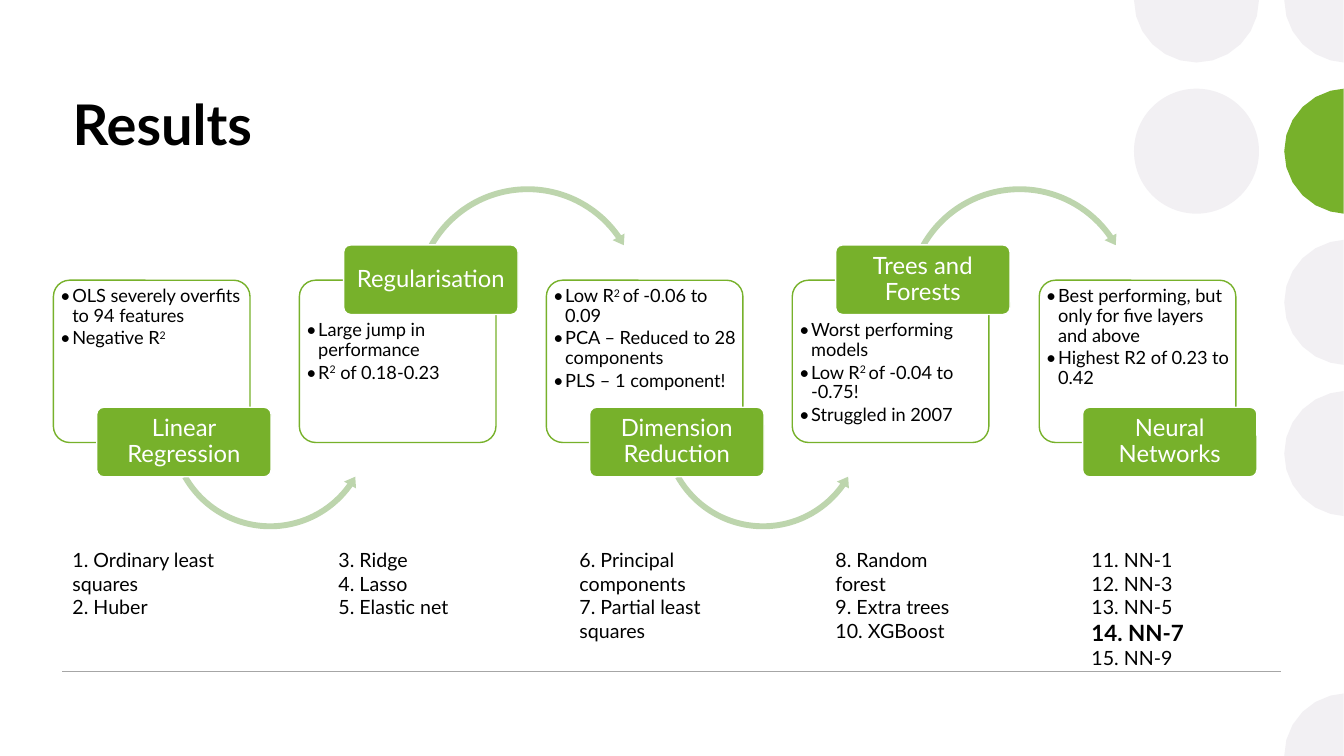
import math
from lxml import etree
from pptx import Presentation
from pptx import util as u
from pptx.dml.color import RGBColor
from pptx.enum import shapes, text
from pptx.oxml.ns import qn

PX = 9144  # 100 px to the inch
WIDE, HIGH = 1333, 750
HUES = {"green": "77B12B", "pale": "BDD5AD", "mist": "F2F0F3",
        "white": "FFFFFF", "black": "000000", "grey": "A6A6A6"}
KIND = shapes.MSO_SHAPE


def paint(shape, fill, line=None):
    shape.shadow.inherit = False
    shape.fill.solid()
    shape.fill.fore_color.rgb = RGBColor.from_string(HUES[fill])
    if line:
        shape.line.color.rgb = RGBColor.from_string(HUES[line])
        shape.line.width = u.Pt(1)
    else:
        shape.line.fill.background()


def write(para, words, size, hue="black", bold=False):
    # Pieces between carets are superscript
    for n, part in enumerate(words.split("^")):
        if part:
            run = para.add_run()
            run.text = part
            run.font.name = "Lato"
            run.font.size = u.Pt(size)
            run.font.bold = bold
            run.font.color.rgb = RGBColor.from_string(HUES[hue])
            if n % 2:
                run._r.get_or_add_rPr().set("baseline", "30000")


deck = Presentation()
deck.slide_width, deck.slide_height = u.Inches(13.333), u.Inches(7.5)
slide = deck.slides.add_slide(deck.slide_layouts[5])
draw = slide.shapes

# Title
title = draw.title
title.left, title.top, title.width, title.height = [v * PX for v in (62, 84, 802, 139)]
frame = title.text_frame
frame.auto_size = text.MSO_AUTO_SIZE.NONE
frame.vertical_anchor = text.MSO_ANCHOR.TOP
frame.paragraphs[0].alignment = text.PP_ALIGN.LEFT
write(frame.paragraphs[0], "Results", 40, bold=True)

# Circles: one whole, the others cut at the slide edges
RAD = 62
dot = draw.add_shape(KIND.OVAL, *[v * PX for v in (1125, 88, 2 * RAD, 2 * RAD)])
paint(dot, "mist")
# Centre, first and last angle of the visible arc, slide corner if any
for x, y, first, last, corner, hue in [
        (1187, 0, 0, 180, [], "mist"),
        (WIDE + 3, HIGH, 180, 270, [(WIDE, HIGH)], "mist"),
        (WIDE + 3, 450, 90, 270, [], "mist"),
        (WIDE + 3, 300, 90, 270, [], "mist"),
        (WIDE + 3, 150, 90, 270, [], "green"),
        (WIDE + 3, 0, 90, 180, [(WIDE, 0)], "mist")]:
    rim = []
    for deg in range(first, last + 1, 15):
        ang = math.radians(deg)
        rim.append((min(WIDE, x + RAD * math.cos(ang)), y + RAD * math.sin(ang)))
    rim = [(round(a * PX), round(b * PX)) for a, b in rim + corner]
    edge = draw.build_freeform(*rim[0])
    edge.add_line_segments(rim[1:], close=True)
    paint(edge.convert_to_shape(), hue)

# Rule at the foot
rule = draw.add_connector(shapes.MSO_CONNECTOR.STRAIGHT,
                          62 * PX, 666 * PX, 1271 * PX, 666 * PX)
rule.line.color.rgb = RGBColor.from_string(HUES["grey"])
rule.line.width = u.Pt(1)
etree.SubElement(rule._element.spPr, qn("a:effectLst"))

# Steps: label, findings
steps = [
    ("Linear Regression", ["OLS severely overfits to 94 features", "Negative R^2^"]),
    ("Regularisation", ["Large jump in performance", "R^2^ of 0.18-0.23"]),
    ("Dimension Reduction", ["Low R^2 ^of -0.06 to 0.09",
                             "PCA – Reduced to 28 components",
                             "PLS – 1 component!"]),
    ("Trees and Forests", ["Worst performing models",
                           "Low R^2 ^of -0.04 to -0.75!",
                           "Struggled in 2007"]),
    ("Neural Networks", ["Best performing, but only for five layers and above",
                         "Highest R2 of 0.23 to 0.42"]),
]
# Arrow by label place: kind, shift, top, size, adjustments
arrows = [
    (KIND.LEFT_CIRCULAR_ARROW, 68, 321, 208, (0.028, 3.446, 21.201, 90.245, 0.033)),
    (KIND.CIRCULAR_ARROW, 66, 181, 233, (0.025, 3.056, 195.189, 125.755, 0.029)),
]
for i, (name, finds) in enumerate(steps):
    left = 53 + 489 * i // 2
    tab = round(96.2 + 244.4 * i)
    high = i % 2  # odd steps carry the label on top

    card = draw.add_shape(KIND.ROUNDED_RECTANGLE,
                          *[v * PX for v in (left, 278, 195, 161)])
    card.adjustments[0] = 0.1
    paint(card, "white", "green")
    frame = card.text_frame
    frame.word_wrap = True
    frame.vertical_anchor = text.MSO_ANCHOR.TOP
    frame.margin_left = frame.margin_right = 2 * PX
    frame.margin_top, frame.margin_bottom = (36 if high else 2) * PX, 0
    for n, find in enumerate(finds):
        para = frame.add_paragraph() if n else frame.paragraphs[0]
        para.alignment = text.PP_ALIGN.LEFT
        para.line_spacing = 0.9
        para.space_after = u.Pt(2)
        props = para._p.get_or_add_pPr()
        props.set("marL", str(12 * PX))
        props.set("indent", str(-12 * PX))
        etree.SubElement(props, qn("a:buFont")).set("typeface", "Lato")
        etree.SubElement(props, qn("a:buChar")).set("char", "•")
        write(para, find, 13)

    if i < len(steps) - 1:
        kind, shift, top, size, bends = arrows[high]
        arrow = draw.add_shape(kind, *[v * PX for v in (tab + shift, top, size, size)])
        for n, bend in enumerate(bends):
            arrow.adjustments[n] = bend
        paint(arrow, "pale")

    label = draw.add_shape(KIND.ROUNDED_RECTANGLE,
                           *[v * PX for v in (tab, 243 if high else 404, 173, 69)])
    label.adjustments[0] = 0.1
    paint(label, "green", "white")
    frame = label.text_frame
    frame.word_wrap = True
    frame.vertical_anchor = text.MSO_ANCHOR.MIDDLE
    frame.margin_left = frame.margin_right = 4 * PX
    frame.margin_top = frame.margin_bottom = 2 * PX
    para = frame.paragraphs[0]
    para.alignment = text.PP_ALIGN.CENTER
    para.line_spacing = 0.9
    write(para, name, 17, "white")

# Model lists: left, width, height, models
lists = [
    (62, 169, 81, ["1. Ordinary least squares", "2. Huber"]),
    (326, 137, 81, ["3. Ridge", "4. Lasso", "5. Elastic net"]),
    (565, 149, 104, ["6. Principal components", "7. Partial least squares"]),
    (819, 137, 128, ["8. Random forest", "9. Extra trees", "10. XGBoost"]),
    (1073, 126, 135, ["11. NN-1", "12. NN-3", "13. NN-5", "14. NN-7", "15. NN-9"]),
]
for left, width, height, models in lists:
    box = draw.add_textbox(*[v * PX for v in (left, 539, width, height)])
    frame = box.text_frame
    frame.word_wrap = True
    for n, model in enumerate(models):
        para = frame.add_paragraph() if n else frame.paragraphs[0]
        best = model == "14. NN-7"
        write(para, model, 16 if best else 14, bold=best)

deck.save("out.pptx")
